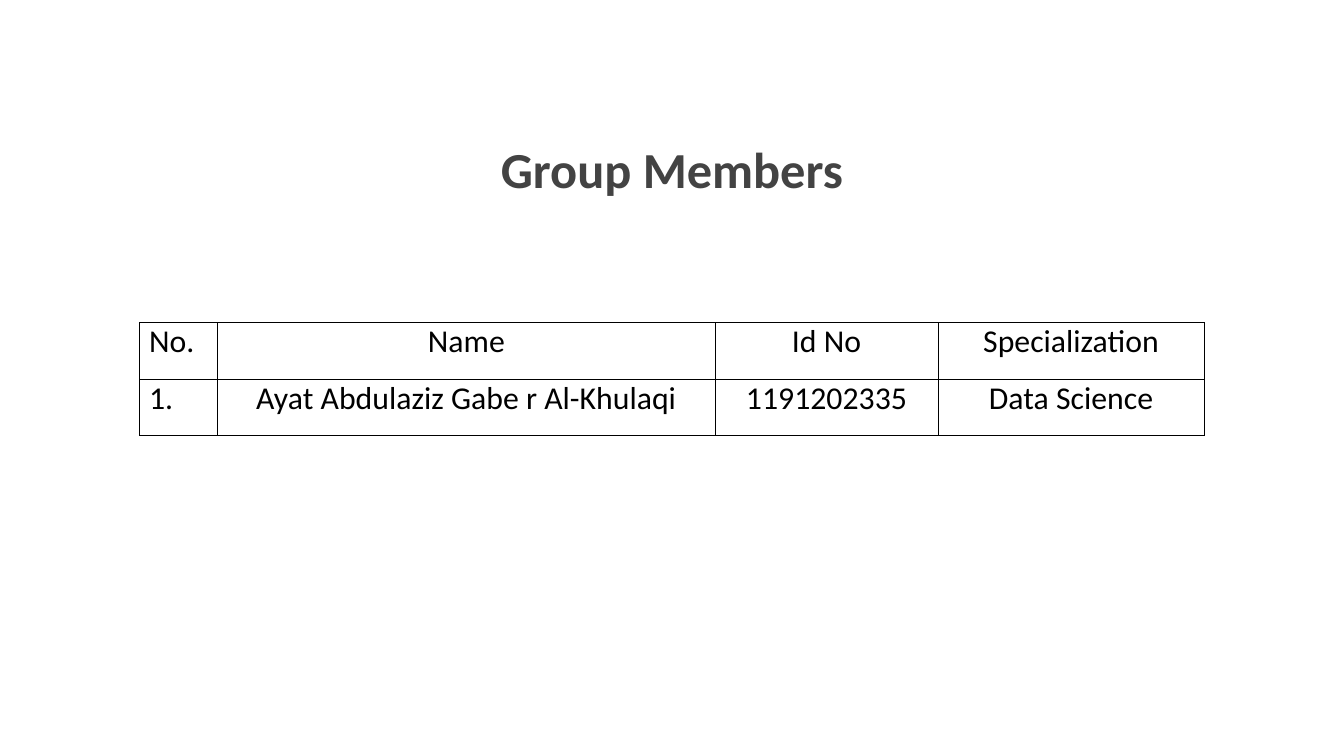
from pptx import Presentation
from pptx.dml.color import RGBColor
from pptx.enum.text import MSO_ANCHOR, PP_ALIGN
from pptx.oxml import parse_xml
from pptx.oxml.ns import nsdecls
from pptx.util import Inches, Pt

FONT = "Calibri"
BLACK = RGBColor(0x00, 0x00, 0x00)
GREY = RGBColor(0x43, 0x43, 0x43)
WHITE = RGBColor(0xFF, 0xFF, 0xFF)
COLUMNS = [0.58, 3.7, 1.66, 1.98]
ROW_HEIGHT = 0.42
MEMBERS = [
    ["No.", "Name", "Id No", "Specialization"],
    ["1.", "Ayat Abdulaziz Gabe r Al-Khulaqi", "1191202335", "Data Science"],
]


def write(tf, text, size=17, color=BLACK, bold=False, align=PP_ALIGN.CENTER):
    p = tf.paragraphs[0]
    p.alignment = align
    r = p.add_run()
    r.text = text
    r.font.name = FONT
    r.font.size = Pt(size)
    r.font.bold = bold
    r.font.color.rgb = color


class Deck:
    """Hold the slide style and draw each kind of element on the current slide."""

    def __init__(self, prs):
        self.s = prs.slides.add_slide(prs.slide_layouts[6])
        self.border = BLACK
        self.border_width = Pt(0.5)
        self.s.background.fill.solid()
        self.s.background.fill.fore_color.rgb = WHITE

    def title(self, text, left, top, width, height):
        sp = self.s.shapes.add_textbox(
            Inches(left), Inches(top), Inches(width), Inches(height))
        tf = sp.text_frame
        tf.word_wrap = True
        tf.vertical_anchor = MSO_ANCHOR.MIDDLE
        tf.margin_left = tf.margin_right = Inches(0.1)
        tf.margin_top = tf.margin_bottom = Inches(0.1)
        write(tf, text, size=27, color=GREY, bold=True)

    def table(self, rows, columns, left, top, row_height):
        table = self.s.shapes.add_table(
            len(rows), len(columns), Inches(left), Inches(top),
            Inches(sum(columns)), Inches(row_height * len(rows))).table
        table.first_row = table.horz_banding = False
        for column, width in zip(table.columns, columns):
            column.width = Inches(width)
        for i, row in enumerate(rows):
            table.rows[i].height = Inches(row_height)
            for j, text in enumerate(row):
                self.cell(table.cell(i, j), text,
                          PP_ALIGN.CENTER if j else PP_ALIGN.LEFT)

    def cell(self, cell, text, align):
        cell.margin_left = cell.margin_right = Inches(0.07)
        cell.margin_top = cell.margin_bottom = 0
        cell.vertical_anchor = MSO_ANCHOR.TOP
        cell.fill.background()
        tc_pr = cell._tc.get_or_add_tcPr()
        for i, side in enumerate("LRTB"):
            tc_pr.insert(i, parse_xml(
                f'<a:ln{side} {nsdecls("a")} w="{self.border_width}"><a:solidFill>'
                f'<a:srgbClr val="{self.border}"/></a:solidFill></a:ln{side}>'))
        write(cell.text_frame, text, align=align)


def main():
    prs = Presentation()
    prs.slide_width = Inches(10)
    prs.slide_height = prs.slide_width * 9 // 16
    deck = Deck(prs)
    deck.title("Group Members", 0, 0.5, 10, 1.5)
    deck.table(MEMBERS, COLUMNS, 1.04, 2.4, ROW_HEIGHT)
    prs.save("out.pptx")


if __name__ == "__main__":
    main()
